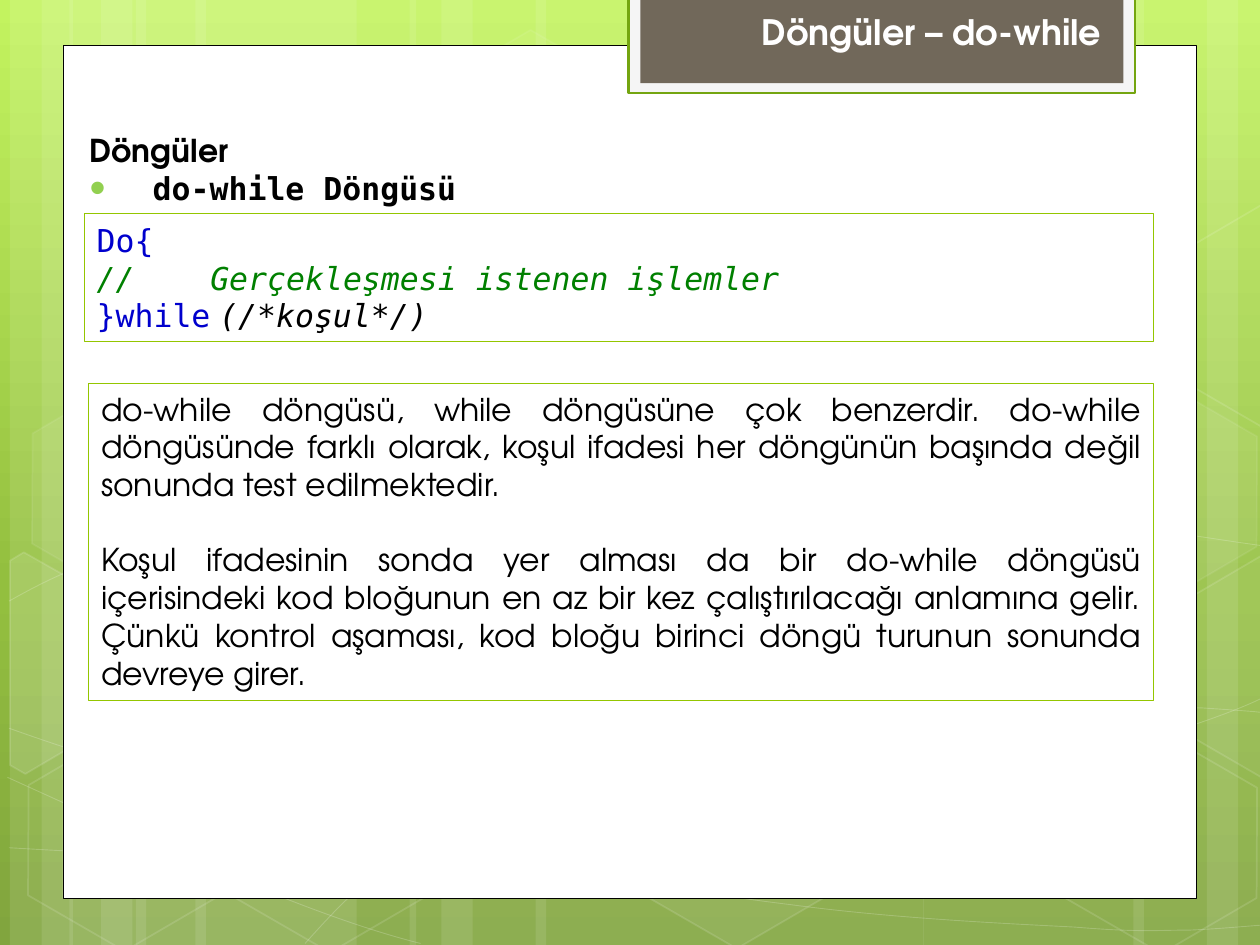
from copy import deepcopy
from dataclasses import dataclass
from math import cos, radians, sin
from typing import Optional

from lxml import etree
from pptx import Presentation
from pptx.dml.color import RGBColor
from pptx.enum.shapes import MSO_SHAPE
from pptx.enum.text import MSO_ANCHOR, PP_ALIGN
from pptx.oxml.ns import qn
from pptx.util import Cm, Pt

RECTANGLE, HEXAGON = MSO_SHAPE.RECTANGLE, MSO_SHAPE.HEXAGON
LEFT, RIGHT, JUSTIFY = PP_ALIGN.LEFT, PP_ALIGN.RIGHT, PP_ALIGN.JUSTIFY
TOP, MIDDLE = MSO_ANCHOR.TOP, MSO_ANCHOR.MIDDLE
SANS, MONO = "TeX Gyre Adventor", "DejaVu Sans Mono"
WIDTH, HEIGHT = 25.4, 19.05
TILT = 30
COLORS = {
    "white": "FFFFFF", "black": "000000", "panel": "F5F5F5", "brown": "71685A",
    "tab line": "74A510", "box line": "94C600", "bullet": "92D050",
    "keyword": "0000CD", "comment": "008000",
}
BACKGROUND = [(0, "C3F35F"), (0.62, "93BF3F"), (1, "81A53E")]


@dataclass
class Hexagon:
    left: float
    top: float
    fill_alpha: Optional[int]
    line_alpha: int = 12


@dataclass
class Run:
    text: str
    color: str = "black"
    font: str = SANS
    size: float = 18
    bold: bool = False
    italic: bool = False


HEXAGONS = [
    Hexagon(8.48, 0.91, 4, 8), Hexagon(12.62, 14.96, 6), Hexagon(0.28, 15.01, None),
    Hexagon(0.36, 7.92, 7, 8), Hexagon(4.42, 15.04, None), Hexagon(19.13, 11.51, 10),
    Hexagon(21.18, 15.06, None), Hexagon(21.18, 7.98, 7, 8),
]
# Start point, then two control points and an end point for every segment
CURVES = [
    [(0.18, 17.09), (1.55, 17.17), (2.92, 17.25), (4.83, 17.22), (6.73, 17.2),
     (9.09, 17.15), (11.63, 16.89), (14.17, 16.64), (17.78, 16.15), (20.12, 15.67),
     (22.43, 15.19), (24.82, 14.43), (25.58, 14)],
    [(0.18, 12.12), (0.91, 11.71), (1.65, 11.33), (3.07, 10.95), (4.52, 10.57),
     (6.58, 10.01), (8.81, 9.83), (11.07, 9.65), (13.82, 9.63), (16.61, 9.83),
     (19.41, 10.03), (24.05, 10.82), (25.58, 11.02)],
    [(0.15, 15.67), (3.23, 17.07), (6.27, 18.47), (8.48, 19.02)],
    [(0.18, 14.68), (0.97, 14.96), (1.78, 15.24), (3.25, 15.65), (4.72, 16.03),
     (6.93, 16.66), (9.07, 17.09), (11.18, 17.53), (13.84, 17.98), (15.95, 18.24),
     (18.06, 18.52), (20.32, 18.62), (21.67, 18.69), (22.99, 18.8), (23.34, 18.75),
     (24, 18.75), (24.66, 18.72), (25.12, 18.67), (25.58, 18.64)],
    [(6.15, 19.02), (6.6, 18.52), (7.06, 18.01), (7.67, 17.55), (8.28, 17.09),
     (9.14, 16.59), (9.86, 16.23), (10.57, 15.88), (11, 15.72), (11.94, 15.47),
     (12.85, 15.21), (14.55, 14.86), (15.44, 14.68), (16.36, 14.5), (16.48, 14.5),
     (17.27, 14.45), (18.06, 14.38), (19.3, 14.3), (20.17, 14.27), (21.06, 14.25),
     (22.5, 14.27), (22.5, 14.27), (23.07, 14.27), (23.64, 14.27), (24.21, 14.27),
     (24.66, 14.3), (25.1, 14.33), (25.32, 14.35), (25.55, 14.38), (25.48, 14.35),
     (25.55, 14.38)],
]
LEFT_CUT = [(0.2, 11.3), (0.48, 11.13), (2.44, 12.24), (2.41, 14.48), (0.51, 15.6),
            (0.2, 15.42)]
RIGHT_CUT = [(23.52, 12.32), (25.43, 11.2), (25.63, 11.33), (25.63, 15.57),
             (25.45, 15.67), (23.52, 14.55)]


def paint(fill, color: Optional[str]) -> None:
    if color is None:
        fill.background()
        return
    fill.solid()
    fill.fore_color.rgb = RGBColor.from_string(COLORS[color])


def style(shape, fill=None, line=None, weight=1.0, fill_alpha=100, line_alpha=100):
    shape.shadow.inherit = False
    paint(shape.fill, fill)
    paint(shape.line.fill, line)
    if line:
        shape.line.width = Pt(weight)
    properties = shape.element.spPr
    for parent, alpha in ((properties, fill_alpha), (properties.find(qn("a:ln")), line_alpha)):
        color = parent.find(f"{qn('a:solidFill')}/{qn('a:srgbClr')}")
        if color is not None and alpha < 100:
            etree.SubElement(color, qn("a:alpha"), val=str(alpha * 1000))
    return shape


def add_box(slide, left: float, top: float, width: float, height: float,
            kind=RECTANGLE, **look):
    shape = slide.shapes.add_shape(kind, Cm(left), Cm(top), Cm(width), Cm(height))
    return style(shape, **look)


def add_outline(slide, points: list, close: bool, **look):
    start, *rest = [(Cm(x), Cm(y)) for x, y in points]
    builder = slide.shapes.build_freeform(*start)
    builder.add_line_segments(rest, close=close)
    return style(builder.convert_to_shape(), line="white", **look)


def add_curve(slide, points: list) -> None:
    shape = add_outline(slide, points, False, weight=0.5, line_alpha=20)
    lines = list(shape.element.iter(qn("a:lnTo")))
    # Every three line ends become one cubic segment
    for index in range(0, len(lines), 3):
        segment = etree.Element(qn("a:cubicBezTo"))
        lines[index].addprevious(segment)
        for line in lines[index:index + 3]:
            segment.append(line[0])
            line.getparent().remove(line)


def add_cut_hexagon(slide, points: list, center: tuple, **look) -> None:
    cosine, sine = cos(radians(TILT)), sin(radians(TILT))
    offsets = [(x - center[0], y - center[1]) for x, y in points]
    upright = [(center[0] + x * cosine + y * sine, center[1] - x * sine + y * cosine)
               for x, y in offsets]
    add_outline(slide, upright, True, line_alpha=12, **look).rotation = TILT


def write(shape, paragraphs: list, align=LEFT, anchor=TOP, gap=0.0, wrap=True) -> list:
    frame = shape.text_frame
    frame.word_wrap, frame.vertical_anchor = wrap, anchor
    for index, runs in enumerate(paragraphs):
        paragraph = frame.add_paragraph() if index else frame.paragraphs[0]
        paragraph.alignment = align
        if index and gap:
            paragraph.space_before = Pt(gap)
        for item in runs:
            run = paragraph.add_run()
            run.text = item.text
            run.font.name, run.font.size = item.font, Pt(item.size)
            run.font.bold, run.font.italic = item.bold, item.italic
            run.font.color.rgb = RGBColor.from_string(COLORS[item.color])
    return list(frame.paragraphs)


def add_bullet(paragraph, indent: float) -> None:
    properties = paragraph._p.get_or_add_pPr()
    properties.set("marL", str(Cm(indent)))
    properties.set("indent", str(-Cm(indent)))
    color = etree.SubElement(properties, qn("a:buClr"))
    etree.SubElement(color, qn("a:srgbClr"), val=COLORS["bullet"])
    etree.SubElement(properties, qn("a:buSzPct"), val="145000")
    etree.SubElement(properties, qn("a:buFont"), typeface="Arial")
    etree.SubElement(properties, qn("a:buChar"), char="•")


def add_tab_stop(paragraph, position: float) -> None:
    tabs = etree.SubElement(paragraph._p.get_or_add_pPr(), qn("a:tabLst"))
    etree.SubElement(tabs, qn("a:tab"), pos=str(Cm(position)), algn="l")


def draw_background(slide) -> None:
    fill = slide.background.fill
    fill.gradient()
    fill.gradient_angle = 270
    stop_list = slide.element.find(f".//{qn('a:gsLst')}")
    stop_list.append(deepcopy(stop_list[-1]))
    for stop, (position, color) in zip(fill.gradient_stops, BACKGROUND):
        stop.position = position
        stop.color.rgb = RGBColor.from_string(color)
    # Bands of light: a narrow, a middle and a wide one in each group
    for edge, middle, wide, width, mirrored in (
            (0.2, 0.64, 2.54, 4.45, False), (1.4, 0.64, 2.54, 4.45, False),
            (25.6, 0.64, 2.54, 4.45, True), (8.26, 0.64, 2.54, 7.82, False)):
        for offset, band in ((0, 1.27), (middle, 2.11), (wide, width)):
            left = edge - offset - band if mirrored else edge + offset
            add_box(slide, left, 0, band, HEIGHT, fill="white", fill_alpha=10)
    for curve in CURVES:
        add_curve(slide, curve)
    for item in HEXAGONS:
        shape = add_box(slide, item.left, item.top, 4.45, 3.86, HEXAGON, line="white",
                        fill=None if item.fill_alpha is None else "white",
                        fill_alpha=item.fill_alpha or 100, line_alpha=item.line_alpha)
        shape.rotation = TILT
        shape.adjustments[0], shape.adjustments[1] = 0.285, 1.155
    # Hexagons cut off by the slide edges
    add_cut_hexagon(slide, LEFT_CUT, (0.91, 13.59), fill="white", fill_alpha=10)
    add_cut_hexagon(slide, RIGHT_CUT, (25.02, 13.21), fill="white", fill_alpha=4)
    add_cut_hexagon(slide, [(x, y - 7.07) for x, y in RIGHT_CUT], (25.02, 6.14))


def main() -> None:
    presentation = Presentation()
    presentation.slide_width, presentation.slide_height = Cm(WIDTH), Cm(HEIGHT)
    slide = presentation.slides.add_slide(presentation.slide_layouts[6])
    draw_background(slide)
    # White page and title tab
    add_box(slide, 1.27, 0.91, 22.86, 17.2, fill="white", line="black", weight=0.5)
    add_box(slide, 12.67, -0.05, 10.21, 1.93, fill="panel", line="tab line", weight=1.25)
    add_box(slide, 12.91, -0.05, 9.74, 1.73, fill="brown")
    # Headings
    heading = slide.shapes.add_textbox(Cm(1.56), Cm(2.52), Cm(21.92), Cm(1.8))
    lines = write(heading, [[Run("Döngüler", bold=True)],
                            [Run("do-while Döngüsü", font=MONO, bold=True)]])
    add_bullet(lines[1], 1.27)
    title = slide.shapes.add_textbox(Cm(15.09), Cm(0.08), Cm(7.37), Cm(1.12))
    write(title, [[Run("Döngüler – do-while", "white", size=20, bold=True)]],
          align=RIGHT, wrap=False)
    # Code box
    code = add_box(slide, 1.7, 4.31, 21.56, 2.57, line="box line", weight=0.75)
    lines = write(code, [
        [Run("Do{", "keyword", MONO)],
        [Run("//\tGerçekleşmesi istenen işlemler", "comment", MONO, italic=True)],
        [Run("}while", "keyword", MONO), Run(" ", "keyword"),
         Run("(/*koşul*/)", font=MONO, italic=True)],
    ], anchor=MIDDLE)
    add_tab_stop(lines[1], 2.29)
    # Explanation box
    explanation = add_box(slide, 1.79, 7.73, 21.47, 6.4, line="box line", weight=0.75)
    write(explanation, [
        [Run("do-while döngüsü, while döngüsüne çok benzerdir. do-while döngüsünde farklı "
             "olarak, koşul ifadesi her döngünün başında değil sonunda test edilmektedir.")],
        [Run("Koşul ifadesinin sonda yer alması da bir do-while döngüsü içerisindeki kod "
             "bloğunun en az bir kez çalıştırılacağı anlamına gelir. Çünkü kontrol aşaması, "
             "kod bloğu birinci döngü turunun sonunda devreye girer.")],
    ], align=JUSTIFY, anchor=TOP, gap=21.4)
    presentation.save("out.pptx")


if __name__ == "__main__":
    main()
